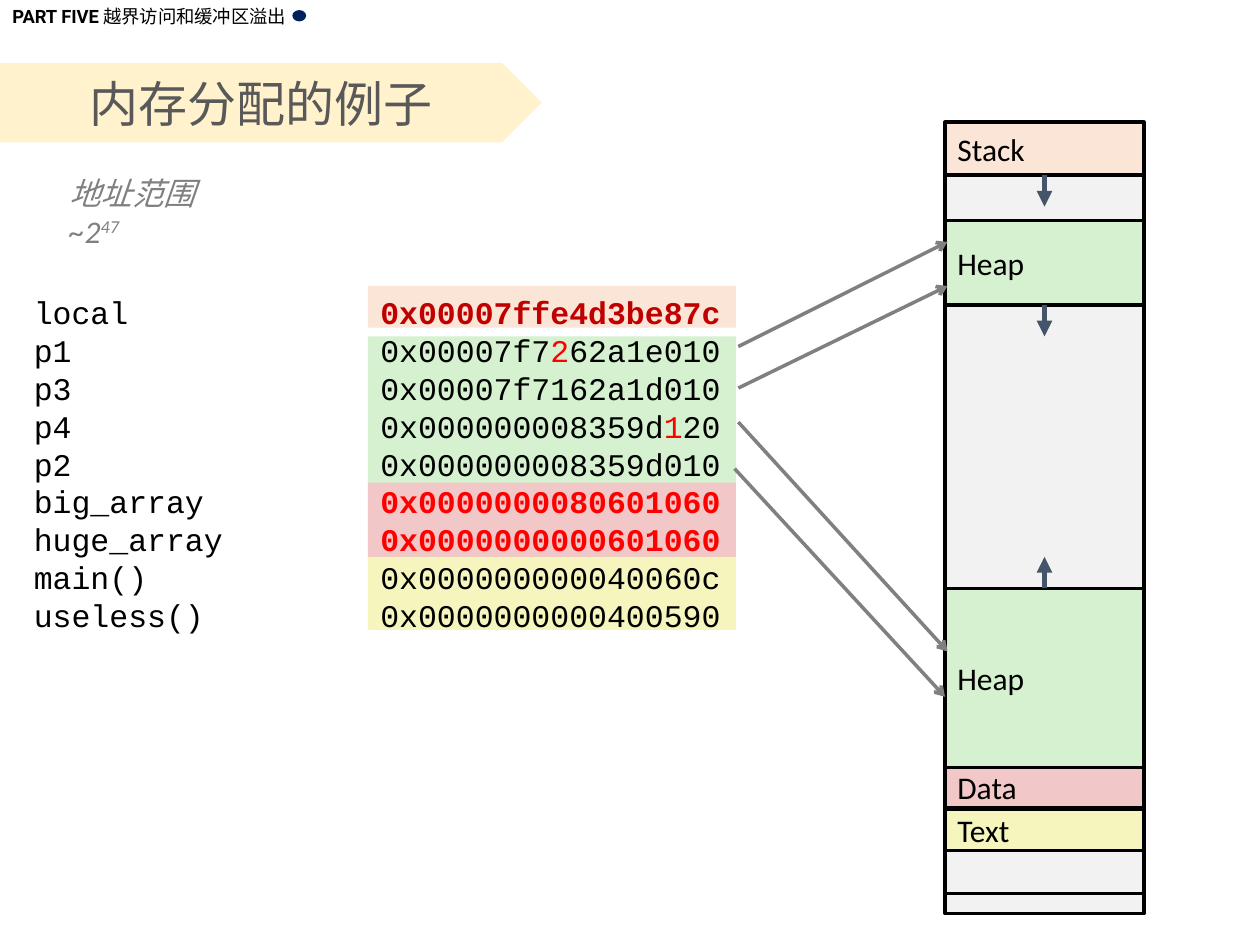
import pptx
import pptx.util
import pptx.dml.color
import pptx.enum.shapes
import pptx.enum.text
import lxml.etree
from pptx.util import Inches, Pt

COLORS = {
    "black": "000000", "navy": "002060", "cream": "FFF2CC", "title": "595959",
    "empty": "F2F2F2", "stack": "FBE5D6", "heap": "D5F1CF", "data": "F1C7C7",
    "text": "F6F5BD", "gray": "808080", "slate": "44546A", "red": "FF0000", "dark_red": "C00000",
}
CJK = "Noto Sans CJK SC"
DARK = {"color": "dark_red", "bold": True}
BOLD = {"color": "red", "bold": True}
RED = {"color": "red"}

HEADER = [[("PART FIVE ", {"bold": True}), ("越界访问和缓冲区溢出", {"font": CJK})]]
TITLE = [["内存分配的例子"]]
RANGE = [["地址范围"], ["~2", ("47", {"baseline": 30})]]
ADDRESSES = [
    ["local\t", ("0x00007ffe4d3be87c", DARK)],
    ["p1\t0x00007f7", ("2", RED), "62a1e010"],
    ["p3\t0x00007f7162a1d010"],
    ["p4\t0x000000008359d", ("1", RED), "20"],
    ["p2\t0x000000008359d010"],
    ["big_array\t", ("0x0000000080601060", BOLD)],
    ["huge_array\t", ("0x0000000000601060", BOLD)],
    ["main()\t0x000000000040060c"],
    ["useless()\t0x0000000000400590"],
]
BANDS = [("stack", 2.27, 0.33), ("heap", 2.67, 1.17), ("data", 3.83, 0.59), ("text", 4.42, 0.58)]
COLUMNS = [(1.14, 6.11), (0.98, 6.11)]
BLOCKS = [
    ("Text", "text", 6.42, 0.33), ("Data", "data", 6.08, 0.33), ("Heap", "heap", 4.67, 1.42),
    ("Heap", "heap", 1.75, 0.67), ("Stack", "stack", 0.97, 0.42),
]
GROWTH = [(1.39, 1.64), (4.67, 4.42), (2.42, 2.67)]
POINTERS = [
    (5.86, 2.75, 7.52, 1.92), (5.86, 3.08, 7.52, 2.27),
    (5.86, 3.35, 7.52, 5.17), (5.83, 3.72, 7.5, 5.53),
]
MEM_LEFT, MEM_WIDTH = 7.5, 1.58
SHAPE = pptx.enum.shapes.MSO_SHAPE
ALIGN = pptx.enum.text.PP_ALIGN
ANCHOR = pptx.enum.text.MSO_ANCHOR


def rgb(name):
    return pptx.dml.color.RGBColor.from_string(COLORS[name])


def add_xml(parent, tag, **attrs):
    return lxml.etree.SubElement(parent, pptx.oxml.ns.qn(tag), attrs)


def write(tf, paragraphs, size=18, font="Calibri", color="black", bold=False, italic=False,
          align=ALIGN.LEFT, anchor=ANCHOR.TOP, spacing=None, tab=None):
    tf.word_wrap = True
    tf.auto_size = pptx.enum.text.MSO_AUTO_SIZE.NONE
    tf.vertical_anchor = anchor
    for i, runs in enumerate(paragraphs):
        p = tf.paragraphs[0] if i == 0 else tf.add_paragraph()
        p.alignment = align
        if spacing:
            p.line_spacing = Pt(spacing)
        if tab:
            tabs = add_xml(p._p.get_or_add_pPr(), "a:tabLst")
            add_xml(tabs, "a:tab", pos=str(Inches(tab)), algn="l")
        for run in runs:
            text, fmt = (run, {}) if isinstance(run, str) else run
            r = p.add_run()
            r.text = text
            r.font.size = Pt(size)
            r.font.name = fmt.get("font", font)
            r.font.bold = fmt.get("bold", bold)
            r.font.italic = italic
            r.font.color.rgb = rgb(fmt.get("color", color))
            add_xml(r.font._element, "a:ea", typeface=CJK)
            if "baseline" in fmt:
                r.font._element.set("baseline", str(fmt["baseline"] * 1000))


def add_box(s, kind, x, y, w, h, fill, outlined=False):
    sp = s.shapes.add_shape(kind, Inches(x), Inches(y), Inches(w), Inches(h))
    sp.shadow.inherit = False
    sp.fill.solid()
    sp.fill.fore_color.rgb = rgb(fill)
    if outlined:
        sp.line.color.rgb = rgb("black")
        sp.line.width = Pt(2)
    else:
        sp.line.fill.background()
    return sp


def add_text(s, x, y, w, h, paragraphs, **fmt):
    sp = s.shapes.add_textbox(Inches(x), Inches(y), Inches(w), Inches(h))
    write(sp.text_frame, paragraphs, **fmt)


def add_arrow(s, x1, y1, x2, y2, color, width, head):
    line = s.shapes.add_connector(
        pptx.enum.shapes.MSO_CONNECTOR.STRAIGHT, Inches(x1), Inches(y1), Inches(x2), Inches(y2))
    line.line.color.rgb = rgb(color)
    line.line.width = Pt(width)
    add_xml(line.line._get_or_add_ln(), "a:tailEnd", type=head)
    add_xml(line._element.spPr, "a:effectLst")


def main():
    """Build the memory allocation example slide."""
    prs = pptx.Presentation()
    prs.slide_width, prs.slide_height = Inches(10), Inches(7.5)
    s = prs.slides.add_slide(prs.slide_layouts[5])

    plate = add_box(s, SHAPE.PENTAGON, 0, 0.5, 4.3, 0.63, "cream")
    s.shapes.element.insert(2, plate.element)
    title = s.shapes.title
    title.left, title.top, title.width, title.height = map(Inches, (0, 0.5, 4.14, 0.63))
    write(title.text_frame, TITLE, size=28, font="Roboto", color="title",
          align=ALIGN.CENTER, anchor=ANCHOR.MIDDLE)

    add_text(s, 0, -0.01, 2.6, 0.28, HEADER, size=10.5, font="Roboto")
    add_box(s, SHAPE.OVAL, 2.32, 0.08, 0.11, 0.09, "navy")
    add_text(s, 0.45, 1.33, 1.67, 0.7, RANGE, color="gray", italic=True)

    for fill, top, height in BANDS:
        add_box(s, SHAPE.RECTANGLE, 2.92, top, 2.92, height, fill)
    add_text(s, 0.17, 2.28, 6.17, 2.82, ADDRESSES, font="Courier New", spacing=21.6, tab=2.75)

    for top, height in COLUMNS:
        add_box(s, SHAPE.RECTANGLE, MEM_LEFT, top, MEM_WIDTH, height, "empty", outlined=True)
    for label, fill, top, height in BLOCKS:
        sp = add_box(s, SHAPE.RECTANGLE, MEM_LEFT, top, MEM_WIDTH, height, fill, outlined=True)
        write(sp.text_frame, [[label]], anchor=ANCHOR.MIDDLE)

    middle = MEM_LEFT + MEM_WIDTH / 2
    for start, end in GROWTH:
        add_arrow(s, middle, start, middle, end, "slate", 3, "triangle")
    for ends in POINTERS:
        add_arrow(s, *ends, "gray", 2, "arrow")

    prs.save("out.pptx")


if __name__ == "__main__":
    main()
